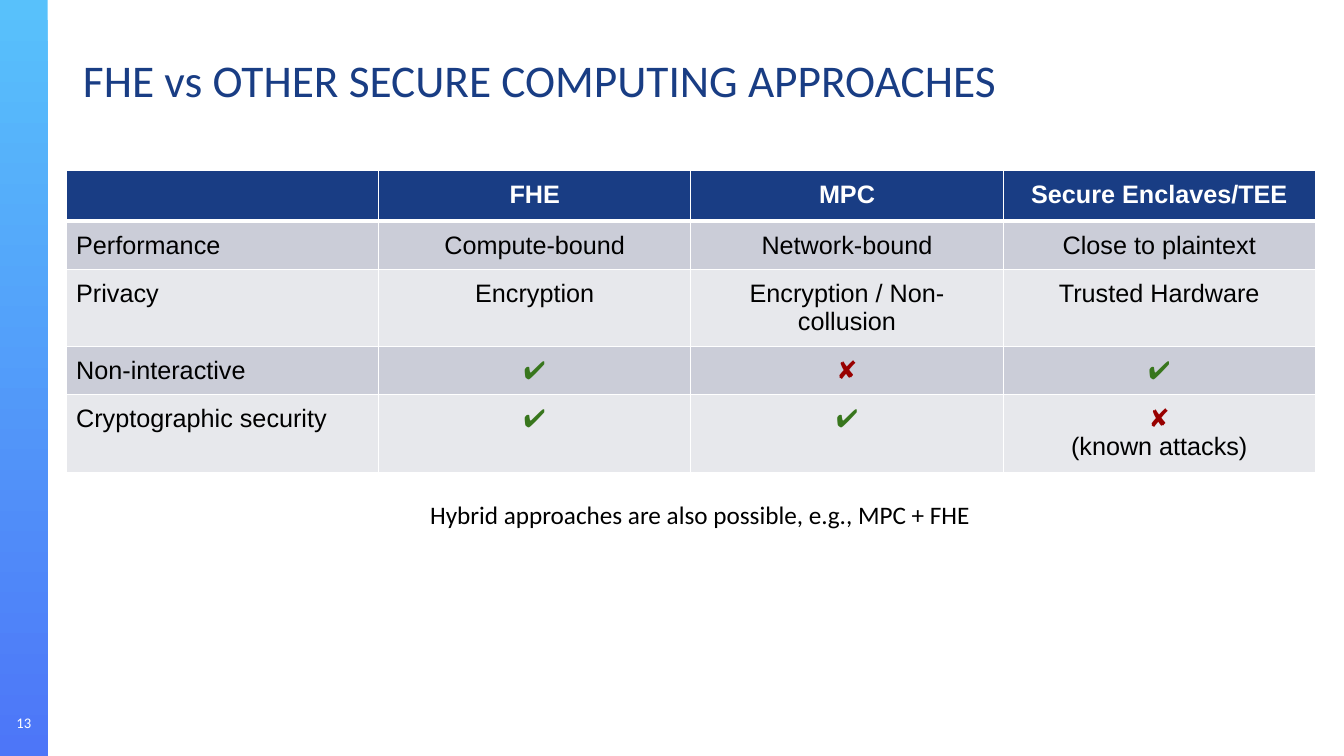
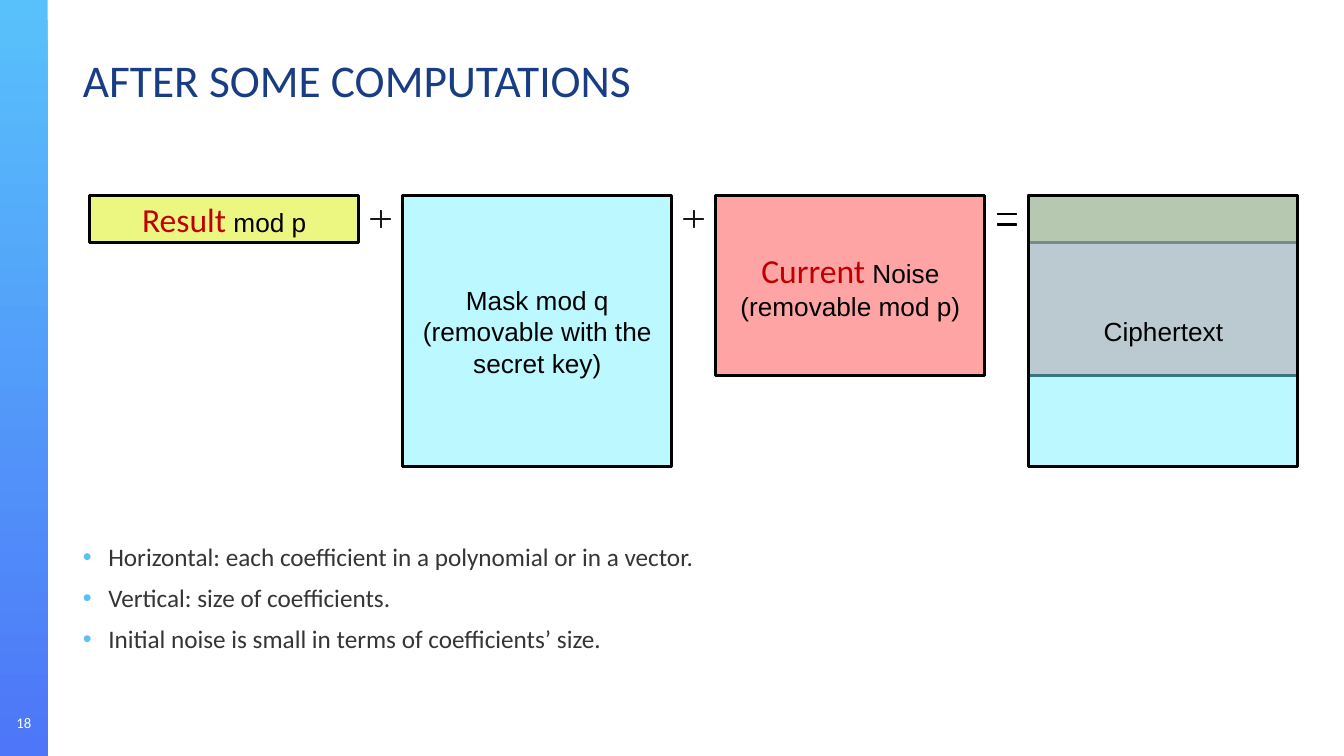
from lxml import etree
from pptx import Presentation
from pptx import util as u
from pptx.dml.color import RGBColor
from pptx.enum import shapes, text
from pptx.oxml.ns import qn

NAVY, SKY, BLUE = "193D84", "58C1FB", "4D76F8"
WHITE, BLACK, GREY, RED = "FFFFFF", "000000", "353535", "C00000"
ROW_FILLS = ("CBCDD8", "E7E8EC")
MARK_COLOURS = {"✔": "38761D", "✘": "980000"}
CENTER, LEFT = text.PP_ALIGN.CENTER, text.PP_ALIGN.LEFT
MIDDLE, TOP = text.MSO_ANCHOR.MIDDLE, text.MSO_ANCHOR.TOP
PLUS, EQUAL = shapes.MSO_SHAPE.MATH_PLUS, shapes.MSO_SHAPE.MATH_EQUAL

COMPARISON = [
    ("", "FHE", "MPC", "Secure Enclaves/TEE"),
    ("Performance", "Compute-bound", "Network-bound", "Close to plaintext"),
    ("Privacy", "Encryption", "Encryption / Non-collusion", "Trusted Hardware"),
    ("Non-interactive", "✔", "✘", "✔"),
    ("Cryptographic security", "✔", "✔", "✘\n(known attacks)"),
]
ROW_HEIGHTS = (1.2, 1.2, 1.95, 1.2, 1.95)
HYBRID_NOTE = "Hybrid approaches are also possible, e.g., MPC + FHE"


def accent(words):
    return (words, 24, "Calibri", RED)


def label(words):
    return (words, 18.7, "Arial", BLACK)


RESULT, MASK, NOISE = ("DAF000", 1.19), ("75F2FF", 6.83), ("FF4747", 4.53)
TERMS = [
    (RESULT, [[accent("Result"), label(" mod p")]]),
    (MASK, [[label("Mask mod q")], [label("(removable with the secret key)")]]),
    (NOISE, [[accent("Current"), label(" Noise")], [label("(removable mod p)")]]),
]
CIPHERTEXT_LAYERS = [(RESULT, []), (NOISE, []), (MASK, [[label("Ciphertext")]])]
OPERATORS = [
    (PLUS, 0.58, SKY, "181818", (0.022,)),
    (PLUS, 0.58, SKY, "181818", (0.022,)),
    (EQUAL, 1.09, BLACK, BLACK, (0.022, 0.224)),
]
BULLETS = [
    "Horizontal: each coefficient in a polynomial or in a vector.",
    "Vertical: size of coefficients.",
    "Initial noise is small in terms of coefficients’ size.",
]
BOX_LEFT, BOX_TOP, BOX_WIDTH, BOX_STEP = 2.26, 4.93, 6.78, 7.89
OPERATOR_WIDTH = 0.66


def colour(value):
    return RGBColor.from_string(value)


def cm(*lengths):
    return [u.Cm(length) for length in lengths]


def write(frame, lines, align=LEFT, anchor=TOP, margins=(0.25, 0.13), spacing=None):
    frame.word_wrap = True
    frame.auto_size = text.MSO_AUTO_SIZE.NONE
    frame.vertical_anchor = anchor
    frame.margin_left = frame.margin_right = u.Cm(margins[0])
    frame.margin_top = frame.margin_bottom = u.Cm(margins[1])
    for index, line in enumerate(lines):
        para = frame.add_paragraph() if index else frame.paragraphs[0]
        para.alignment = align
        if spacing:
            para.line_spacing = spacing
        for words, size, font, value in line:
            span = para.add_run()
            span.text = words
            span.font.size, span.font.name = u.Pt(size), font
            span.font.color.rgb = colour(value)


def add_box(page, place, lines, **style):
    box = page.shapes.add_textbox(*cm(*place))
    write(box.text_frame, lines, **style)
    return box


def add_shape(page, kind, place, fill, line, width, alpha=None):
    shape = page.shapes.add_shape(kind, *cm(*place))
    shape.shadow.inherit = False
    shape.fill.solid()
    shape.fill.fore_color.rgb = colour(fill)
    if alpha:
        value = shape.fill._xPr.find(".//" + qn("a:srgbClr"))
        etree.SubElement(value, qn("a:alpha"), val=str(alpha * 1000))
    shape.line.color.rgb = colour(line)
    shape.line.width = u.Pt(width)
    return shape


def add_page(deck, title, number):
    page = deck.slides.add_slide(deck.slide_layouts[5])
    band = page.shapes.add_shape(shapes.MSO_SHAPE.RECTANGLE, *cm(0, 0, 1.2, 19.05))
    band.shadow.inherit = False
    band.line.fill.background()
    band.fill.gradient()
    band.fill.gradient_angle = 270
    for stop, value, position in zip(band.fill.gradient_stops, (SKY, BLUE), (0, 1)):
        stop.color.rgb, stop.position = colour(value), position
    add_box(page, (0, 17.69, 1.2, 1.02), [[(number, 10.5, "Calibri", WHITE)]],
            align=CENTER, anchor=MIDDLE)
    heading = page.shapes.title
    heading.left, heading.top, heading.width, heading.height = cm(1.84, 1.37, 31.47, 1.42)
    write(heading.text_frame, [[(title, 32.4, "Calibri", NAVY)]], anchor=MIDDLE, spacing=0.9)
    return page


def set_borders(cell, is_header):
    properties = cell._tc.get_or_add_tcPr()
    widths = {"lnL": 1, "lnR": 1, "lnT": 1, "lnB": 3 if is_header else 1}
    for index, (side, width) in enumerate(widths.items()):
        border = etree.Element(qn("a:" + side), w=str(u.Pt(width)))
        fill = etree.SubElement(border, qn("a:solidFill"))
        etree.SubElement(fill, qn("a:srgbClr"), val=WHITE)
        properties.insert(index, border)


def add_comparison(page):
    rows, columns = len(COMPARISON), len(COMPARISON[0])
    frame = page.shapes.add_table(rows, columns, *cm(1.67, 4.3, columns * 7.87, sum(ROW_HEIGHTS)))
    table = frame.table
    for column in table.columns:
        column.width = u.Cm(7.87)
    for r, values in enumerate(COMPARISON):
        table.rows[r].height = u.Cm(ROW_HEIGHTS[r])
        for c, value in enumerate(values):
            cell = table.cell(r, c)
            cell.fill.solid()
            cell.fill.fore_color.rgb = colour(ROW_FILLS[(r - 1) % 2] if r else NAVY)
            cell.margin_left = cell.margin_right = u.Cm(0.25)
            cell.margin_top = cell.margin_bottom = u.Cm(0.25)
            set_borders(cell, r == 0)
            for index, words in enumerate(value.split("\n")):
                para = cell.text_frame.add_paragraph() if index else cell.text_frame.paragraphs[0]
                para.alignment = CENTER if c else LEFT
                para.font.size = u.Pt(18)
                if not words:
                    continue
                span = para.add_run()
                span.text = words
                span.font.size, span.font.name = u.Pt(18), "Arial"
                span.font.bold = r == 0
                span.font.color.rgb = colour(MARK_COLOURS.get(words, BLACK) if r else WHITE)


def add_block(page, column, look, lines):
    fill, height = look
    place = (BOX_LEFT + column * BOX_STEP, BOX_TOP, BOX_WIDTH, height)
    block = add_shape(page, shapes.MSO_SHAPE.RECTANGLE, place, fill, BLACK, 2, alpha=49)
    if lines:
        write(block.text_frame, lines, align=CENTER, anchor=MIDDLE, margins=(0.33, 0.18))


def add_equation(page):
    for column, (look, lines) in enumerate(TERMS):
        add_block(page, column, look, lines)
    gap = BOX_STEP - BOX_WIDTH
    middle = BOX_TOP + RESULT[1] / 2
    for column, (kind, height, fill, line, adjustments) in enumerate(OPERATORS):
        left = BOX_LEFT + column * BOX_STEP + BOX_WIDTH + (gap - OPERATOR_WIDTH) / 2
        place = (left, middle - height / 2, OPERATOR_WIDTH, height)
        sign = add_shape(page, kind, place, fill, line, 1)
        for index, value in enumerate(adjustments):
            sign.adjustments[index] = value
    for look, lines in CIPHERTEXT_LAYERS:
        add_block(page, len(TERMS), look, lines)


def add_bullets(page):
    lines = [[(words, 18, "Calibri", GREY)] for words in BULLETS]
    box = add_box(page, (1.84, 13.59, 31.47, 3.8), lines, spacing=0.9)
    for index, para in enumerate(box.text_frame.paragraphs):
        if index:
            para.space_before = u.Pt(10)
        properties = para._p.get_or_add_pPr()
        properties.set("marL", str(u.Cm(0.64)))
        properties.set("indent", str(-u.Cm(0.64)))
        bullet_colour = etree.SubElement(properties, qn("a:buClr"))
        etree.SubElement(bullet_colour, qn("a:srgbClr"), val=SKY)
        etree.SubElement(properties, qn("a:buFont"), typeface="Arial")
        etree.SubElement(properties, qn("a:buChar"), char="•")


def main():
    deck = Presentation()
    deck.slide_width, deck.slide_height = cm(33.87, 19.05)

    page = add_page(deck, "FHE vs OTHER SECURE COMPUTING APPROACHES", "13")
    add_comparison(page)
    add_box(page, (10.59, 12.45, 14.6, 1.02), [[(HYBRID_NOTE, 18, "Calibri", BLACK)]])

    page = add_page(deck, "AFTER SOME COMPUTATIONS", "18")
    add_bullets(page)
    add_equation(page)

    deck.save("out.pptx")


if __name__ == "__main__":
    main()
